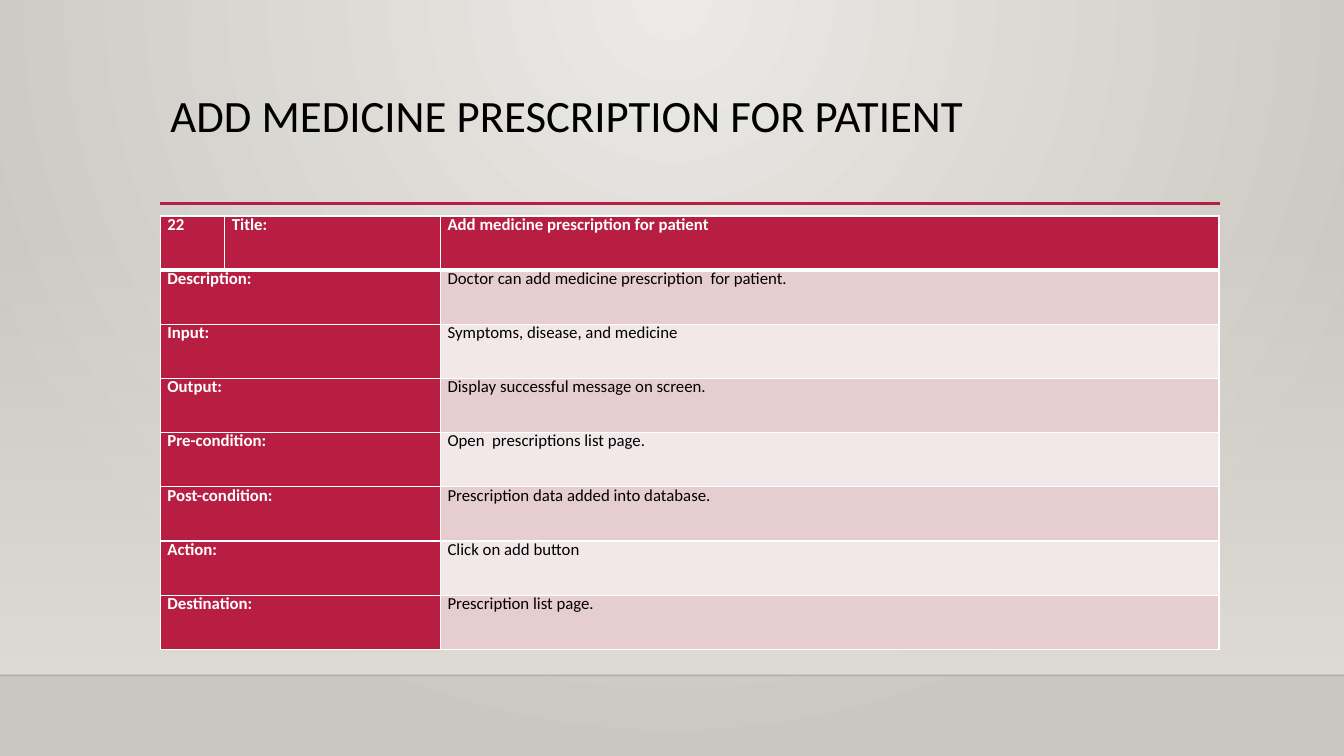
from dataclasses import dataclass
from typing import Any, Optional

import lxml.etree
import pptx
import pptx.dml.color
import pptx.enum.shapes
import pptx.enum.text
import pptx.oxml
import pptx.oxml.ns
import pptx.util

Pt = pptx.util.Pt
RGB = pptx.dml.color.RGBColor.from_string
qn = pptx.oxml.ns.qn
SLIDE_WIDTH = pptx.util.Inches(13.33)
SLIDE_HEIGHT = pptx.util.Inches(7.5)


@dataclass(frozen=True)
class Theme:
    font: str = "Calibri"
    title_size: float = 32
    table_size: float = 12
    accent: str = "B71E42"
    bands: tuple[str, str] = ("E6CDCF", "F3E8E9")
    white: str = "FFFFFF"
    black: str = "000000"
    floor_line: str = "000001"
    wall: str = "DFDBD5"
    glow: tuple[str, str] = ("ECEAE7", "CAC7C1")


@dataclass(frozen=True)
class Rule:
    left: float
    right: float
    top: float
    color: str
    width: float
    opacity: Optional[int] = None


@dataclass(frozen=True)
class Entry:
    label: str
    value: str


THEME = Theme()

# Grid: 100 columns by 100 rows over the slide
LEFT, CONTENT_WIDTH = 11.93, 78.77
TITLE_TOP, TITLE_HEIGHT = 11.73, 15.33
WALL_TOP, FLOOR_TOP = 29.47, 89.33
TABLE_TOP, TABLE_ROW = 28.58, 7.17
TABLE_COLUMNS = (4.8, 16.05, 57.92)

RULES = (
    Rule(0, 100, FLOOR_TOP, THEME.floor_line, 1, 20),
    Rule(LEFT, 90.75, 26.93, THEME.accent, 2.5),
)
TITLE = "ADD MEDICINE PRESCRIPTION FOR PATIENT"
HEADINGS = ("22", "Title:", "Add medicine prescription for patient")
ENTRIES = (
    Entry("Description:", "Doctor can add medicine prescription  for patient."),
    Entry("Input:", "Symptoms, disease, and medicine"),
    Entry("Output:", "Display successful message on screen."),
    Entry("Pre-condition:", "Open  prescriptions list page."),
    Entry("Post-condition:", "Prescription data added into database."),
    Entry("Action:", "Click on add button"),
    Entry("Destination:", "Prescription list page."),
)


def columns(count: float) -> int:
    return round(SLIDE_WIDTH * count / 100)


def rows(count: float) -> int:
    return round(SLIDE_HEIGHT * count / 100)


def apply_format(target: Any, values: dict[str, Any]) -> None:
    for name, value in values.items():
        setattr(target, name, value)


def add_element(parent: Any, tag: str, **attributes: str) -> Any:
    return lxml.etree.SubElement(parent, qn(tag), attributes)


def set_opacity(color_parent: Any, percent: int) -> None:
    color = next(color_parent.iter(qn("a:srgbClr")))
    add_element(color, "a:alpha", val=str(percent * 1000))


def set_font(font: Any, size: float, color: str, bold: bool = False) -> None:
    apply_format(font, {"name": THEME.font, "size": Pt(size), "bold": bold})
    font.color.rgb = RGB(color)


def set_gradient(fill: Any, colors: tuple[str, str]) -> None:
    fill.gradient()
    for stop, color in zip(fill.gradient_stops, colors):
        stop.color.rgb = RGB(color)


def draw_background(slide: Any) -> None:
    set_gradient(slide.background.fill, THEME.glow)
    gradient = next(slide.element.iter(qn("a:gradFill")))
    gradient.remove(gradient.find(qn("a:lin")))
    circle = add_element(gradient, "a:path")
    circle.set("path", "circle")
    add_element(circle, "a:fillToRect", l="43000", t="0", r="43000", b="100000")


def draw_wall(slide: Any) -> None:
    wall = slide.shapes.add_shape(
        pptx.enum.shapes.MSO_SHAPE.RECTANGLE,
        0, rows(WALL_TOP), columns(100), rows(FLOOR_TOP - WALL_TOP))
    wall.shadow.inherit = False
    wall.line.fill.background()
    set_gradient(wall.fill, (THEME.wall, THEME.wall))
    wall.fill.gradient_angle = 270
    set_opacity(next(wall.element.iter(qn("a:gs"))), 0)


def draw_rule(slide: Any, rule: Rule) -> None:
    connector = slide.shapes.add_connector(
        pptx.enum.shapes.MSO_CONNECTOR.STRAIGHT,
        columns(rule.left), rows(rule.top), columns(rule.right), rows(rule.top))
    connector.line.color.rgb = RGB(rule.color)
    connector.line.width = Pt(rule.width)
    properties = connector.element.spPr
    if rule.opacity is not None:
        set_opacity(properties, rule.opacity)
    add_element(properties, "a:effectLst")


def draw_title(slide: Any) -> None:
    title = slide.shapes.title
    apply_format(title, {
        "left": columns(LEFT), "top": rows(TITLE_TOP),
        "width": columns(CONTENT_WIDTH), "height": rows(TITLE_HEIGHT)})
    title.text_frame.text = TITLE
    apply_format(title.text_frame, {
        "word_wrap": True, "vertical_anchor": pptx.enum.text.MSO_ANCHOR.TOP})
    paragraph = title.text_frame.paragraphs[0]
    apply_format(paragraph, {
        "alignment": pptx.enum.text.PP_ALIGN.LEFT, "line_spacing": 0.9})
    set_font(paragraph.runs[0].font, THEME.title_size, THEME.black)


def format_cell(cell: Any, row: int, is_label: bool, fill: str) -> None:
    # Borders come before the fill in the cell's properties
    widths = {"L": 1, "R": 1, "T": 3 if row == 1 else 1, "B": 3 if row == 0 else 1}
    properties = cell._tc.get_or_add_tcPr()
    for side, width in widths.items():
        border = add_element(properties, f"a:ln{side}", w=str(Pt(width)))
        solid = add_element(border, "a:solidFill")
        add_element(solid, "a:srgbClr", val=THEME.white)
    cell.fill.solid()
    cell.fill.fore_color.rgb = RGB(fill)
    side_margin = pptx.util.Inches(0.07)
    apply_format(cell, {"margin_left": side_margin, "margin_right": side_margin,
                        "margin_top": 0, "margin_bottom": 0})
    paragraph = cell.text_frame.paragraphs[0]
    apply_format(paragraph, {
        "alignment": pptx.enum.text.PP_ALIGN.JUSTIFY,
        "line_spacing": Pt(13.4), "space_after": Pt(6)})
    color = THEME.white if is_label else THEME.black
    set_font(paragraph.font, THEME.table_size, color, is_label)
    for run in paragraph.runs:
        set_font(run.font, THEME.table_size, color, is_label)


def draw_table(slide: Any) -> None:
    contents = [HEADINGS] + [(entry.label, "", entry.value) for entry in ENTRIES]
    table = slide.shapes.add_table(
        len(contents), len(TABLE_COLUMNS), columns(LEFT), rows(TABLE_TOP),
        columns(CONTENT_WIDTH), rows(TABLE_ROW * len(contents))).table
    for column, width in zip(table.columns, TABLE_COLUMNS):
        column.width = columns(width)
    for row, texts in enumerate(contents):
        table.rows[row].height = rows(TABLE_ROW)
        for column, text in enumerate(texts):
            cell = table.cell(row, column)
            cell.text = text
            is_label = row == 0 or column < 2
            fill = THEME.accent if is_label else THEME.bands[(row - 1) % 2]
            format_cell(cell, row, is_label, fill)
        if row:
            table.cell(row, 0).merge(table.cell(row, 1))


def main() -> None:
    presentation = pptx.Presentation()
    apply_format(presentation, {"slide_width": SLIDE_WIDTH, "slide_height": SLIDE_HEIGHT})
    slide = presentation.slides.add_slide(presentation.slide_layouts.get_by_name("Title Only"))
    draw_background(slide)
    draw_wall(slide)
    for rule in RULES:
        draw_rule(slide, rule)
    draw_title(slide)
    draw_table(slide)
    presentation.save("out.pptx")


if __name__ == "__main__":
    main()
